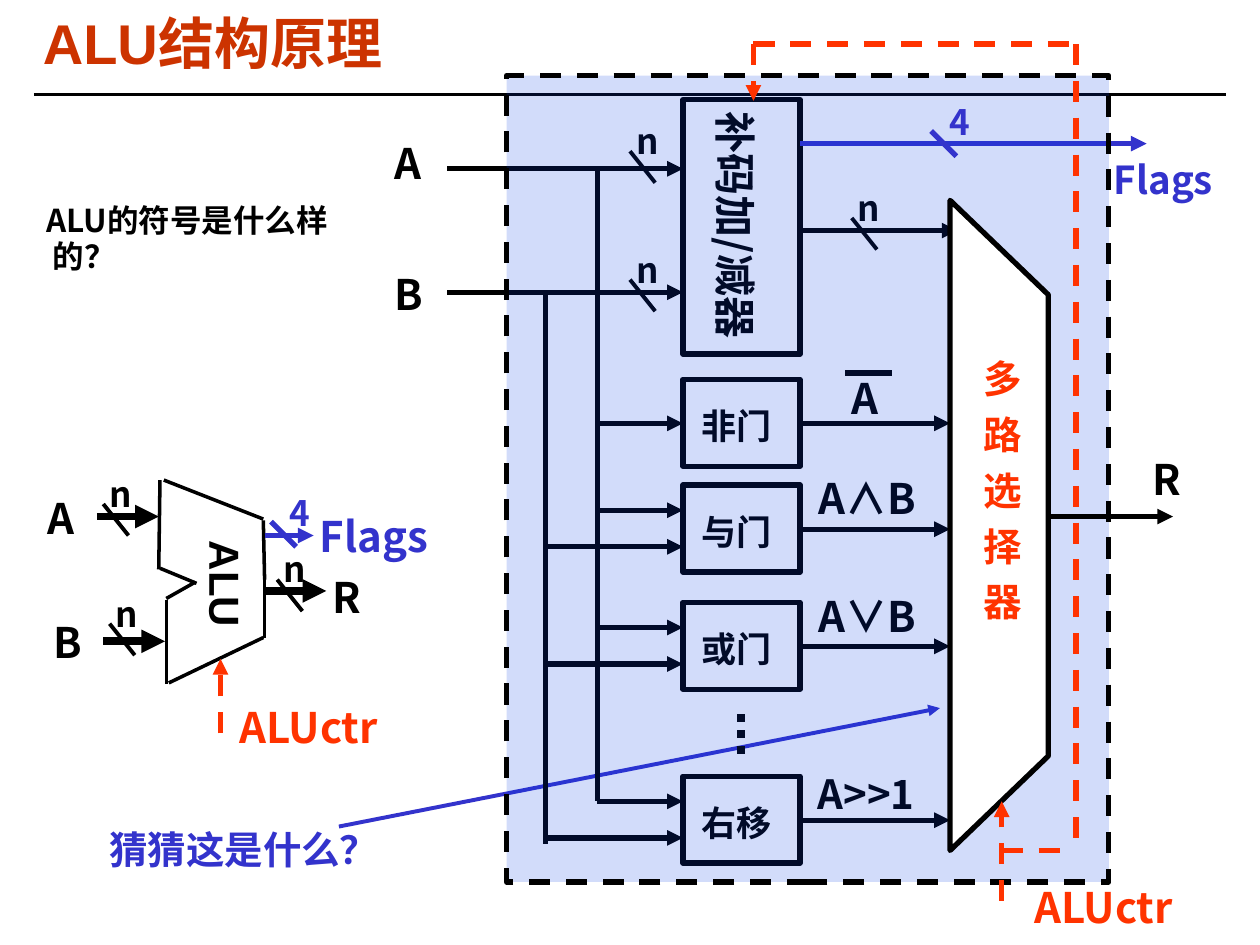
"""Build the slide on the structure of an ALU."""
from lxml.etree import SubElement
from pptx import Presentation
from pptx.dml.color import RGBColor
from pptx.enum.dml import MSO_LINE
from pptx.enum.shapes import MSO_CONNECTOR, MSO_SHAPE
from pptx.enum.text import MSO_ANCHOR, PP_ALIGN
from pptx.oxml.ns import qn
from pptx.util import Inches, Pt

INK = {key: RGBColor.from_string(code) for key, code in {
    "black": "000000", "white": "FFFFFF", "blue": "3333CC",
    "red": "FF3300", "title": "CC3300", "shade": "063DE8"}.items()}
SANS = "Noto Sans CJK SC"

deck = Presentation()
deck.slide_width, deck.slide_height = Inches(10), Inches(7.5)
slide = deck.slides.add_slide(deck.slide_layouts[1])
shapes = slide.shapes


def wire(x1, y1, x2, y2, ink="black", width=3, head=False, dash=None):
    """Draw a straight line, with an arrowhead if asked."""
    link = shapes.add_connector(
        MSO_CONNECTOR.STRAIGHT, *map(Inches, (x1, y1, x2, y2)))
    link.line.color.rgb = INK[ink]
    link.line.width = Pt(width)
    if dash:
        link.line.dash_style = dash
    if head:
        SubElement(link.line._get_or_add_ln(), qn("a:tailEnd"), type="triangle")
    SubElement(link._element.spPr, qn("a:effectLst"))


def write(box, words, area, size=24, ink="black", face=SANS, inset=(0.1, 0.05), turn=0, gap=0):
    """Place a box and fill it with formatted lines of text."""
    for name, value in zip(("left", "top", "width", "height"), area):
        setattr(box, name, Inches(value))
    box.rotation = turn
    frame = box.text_frame
    look = {"word_wrap": True, "vertical_anchor": MSO_ANCHOR.TOP,
            "margin_left": Inches(inset[0]), "margin_right": Inches(inset[0]),
            "margin_top": Inches(inset[1]), "margin_bottom": Inches(inset[1])}
    for name, value in look.items():
        setattr(frame, name, value)
    frame.text = words
    for num, para in enumerate(frame.paragraphs):
        para.alignment = PP_ALIGN.LEFT
        para.space_before = Pt(gap if num else 0)
        for run in para.runs:
            form = {"size": Pt(size), "bold": True, "name": face}
            for name, value in form.items():
                setattr(run.font, name, value)
            run.font.color.rgb = INK[ink]
            SubElement(run._r.get_or_add_rPr(), qn("a:ea"), typeface=SANS)
    return box


wire(0.27, 0.75, 9.73, 0.75, width=1.5)
title = write(shapes.title, "ALU结构原理", (0.27, 0.11, 9, 0.61), 32, "title",
              "Arial", (0.07, 0.03))
title.text_frame.paragraphs[0].line_spacing = 0.87
body = write(slide.placeholders[1], "ALU的符号是什么样的？",
             (0.13, 1.59, 2.66, 0.72), 18, inset=(0.07, 0.03))
para = body.text_frame.paragraphs[0]
para.line_spacing = 0.95
props = para._p.get_or_add_pPr()
props.set("marL", str(Inches(0.22)))
props.set("indent", str(Inches(-0.05)))
SubElement(props, qn("a:buNone"))

for ends in [(1.27, 3.81, 1.26, 4.52), (1.3, 3.81, 2.09, 4.12),
             (1.27, 4.51, 1.56, 4.63), (2.09, 4.13, 2.1, 4.6),
             (1.32, 5.43, 1.32, 4.76), (1.34, 5.42, 2.09, 5.06),
             (1.32, 4.75, 1.55, 4.62), (2.1, 5.06, 2.1, 4.56)]:
    wire(*ends, width=2)
for x, y in [(0.77, 4.1), (0.82, 5.09), (2.1, 4.69)]:
    wire(x, y, x + 0.49, y, width=4.5, head=True)
wire(2.1, 4.25, 2.49, 4.25, "blue", head=True)
wire(2.15, 4.14, 2.35, 4.34, "blue")
wire(1.75, 5.82, 1.75, 5.23, "red", head=True, dash=MSO_LINE.DASH)
wire(2.69, 6.56, 7.46, 5.62, "blue", 2.25, True)

for top in (3.01, 3.85, 4.78, 6.16, 0.79):
    tall = 2.02 if top == 0.79 else 0.69
    block = shapes.add_shape(MSO_SHAPE.RECTANGLE,
                             *map(Inches, (5.42, top, 0.93, tall)))
    block.shadow.inherit = False
    block.fill.solid()
    block.fill.fore_color.rgb = INK["white"]
    block.line.color.rgb = INK["black"]
    block.line.width = Pt(3)

for top, name in [(3.01, "非门"), (3.85, "与门"), (4.78, "或门"), (6.16, "右移")]:
    write(shapes.add_textbox(0, 0, 0, 0), name, (5.47, top + 0.15, 0.83, 0.43), 20)
    wire(6.35, top + 0.35, 7.54, top + 0.35, head=True)
    if name == "非门":
        wire(4.74, top + 0.35, 5.42, top + 0.35, head=True)
    else:
        wire(4.74, top + 0.2, 5.42, top + 0.2, head=True)
        wire(4.33, top + 0.49, 5.42, top + 0.49, head=True)
for y in (1.34, 2.32):
    wire(3.55, y, 5.42, y, head=True)
wire(6.35, 1.83, 7.6, 1.83, head=True)
wire(6.35, 1.14, 9.1, 1.14, "blue", head=True)
wire(4.74, 1.34, 4.74, 6.36)
wire(4.33, 2.32, 4.33, 6.7)
wire(6.71, 2.96, 7.08, 2.96)
wire(5.88, 5.67, 5.88, 6.01, width=4.5, dash=MSO_LINE.ROUND_DOT)

for x, y in [(0.82, 4), (0.87, 4.95), (2.2, 4.6), (5, 1.2), (5, 2.22), (6.76, 1.73)]:
    wire(x, y, x + 0.2, y + 0.25, width=2.25)
    write(shapes.add_textbox(0, 0, 0, 0), "n", (x - 0.05, y - 0.3, 0.47, 0.43), 20)

for words, area, form in [
        ("ALU", (1.36, 4.42, 0.91, 0.46), {"face": "Arial", "turn": 90}),
        ("A", (0.28, 3.86, 0.49, 0.5), {}),
        ("B", (0.33, 4.84, 0.49, 0.5), {}),
        ("R", (2.54, 4.49, 0.49, 0.5), {}),
        ("Flags", (2.44, 4, 1.13, 0.5), {"ink": "blue"}),
        ("4", (2.2, 3.85, 0.44, 0.43), {"size": 20, "ink": "blue"}),
        ("ALUctr", (1.8, 5.52, 1.48, 0.5), {"ink": "red"}),
        ("猜猜这是什么？", (0.77, 6.51, 2.66, 0.47), {"size": 22, "ink": "blue"}),
        ("补码加/减器", (4.73, 1.65, 2.22, 0.5), {"turn": 90}),
        ("Flags", (8.84, 1.19, 0.93, 0.47), {"size": 22, "ink": "blue", "inset": (0, 0.05)}),
        ("R", (9.05, 3.55, 0.57, 0.5), {}),
        ("A", (3.03, 1.04, 0.57, 0.5), {}),
        ("B", (3.03, 2.08, 0.57, 0.5), {}),
        ("A", (6.66, 2.91, 0.57, 0.5), {}),
        ("A∧B", (6.4, 3.7, 1.09, 0.5), {}),
        ("A∨B", (6.4, 4.64, 1.09, 0.5), {}),
        ("A>>1", (6.39, 6.06, 1.27, 0.48), {"size": 23})]:
    write(shapes.add_textbox(0, 0, 0, 0), words, area, **form)

shade = shapes.add_shape(MSO_SHAPE.RECTANGLE, *map(Inches, (4.02, 0.6, 4.78, 6.4)))
path = shapes.build_freeform(Inches(7.54), Inches(6.75))
path.add_line_segments([(Inches(x), Inches(y)) for x, y in
                        [(8.32, 6), (8.32, 2.34), (7.54, 1.59)]])
mux = path.convert_to_shape()
for item, ink in [(shade, "shade"), (mux, "white")]:
    item.shadow.inherit = False
    item.fill.solid()
    item.fill.fore_color.rgb = INK[ink]
    item.line.color.rgb = INK["black"]
    item.line.width = Pt(3)
shade.line.dash_style = MSO_LINE.DASH
tint = shade._element.spPr.find(qn("a:solidFill"))[0]
SubElement(tint, qn("a:alpha"), val="18000")

wire(8.32, 4.1, 9.31, 4.1, head=True)
wire(7.39, 1.04, 7.59, 1.24, "blue")
for *ends, head in [(7.95, 7.15, 7.95, 6.36, True), (5.98, 0.35, 5.98, 0.8, True),
                    (5.98, 0.35, 8.49, 0.35, False), (7.95, 6.75, 8.49, 6.75, False),
                    (8.54, 0.35, 8.54, 6.7, False)]:
    wire(*ends, "red", head=head, dash=MSO_LINE.DASH)
for words, area, size, ink in [
        ("4", (7.44, 0.75, 0.47, 0.43), 20, "blue"),
        ("ALUctr", (8.11, 6.95, 1.48, 0.5), 24, "red"),
        ("多\n路\n选\n择\n器", (7.71, 2.77, 0.54, 2.67), 22, "red")]:
    write(shapes.add_textbox(0, 0, 0, 0), words, area, size, ink, gap=5.5)

deck.save("out.pptx")
